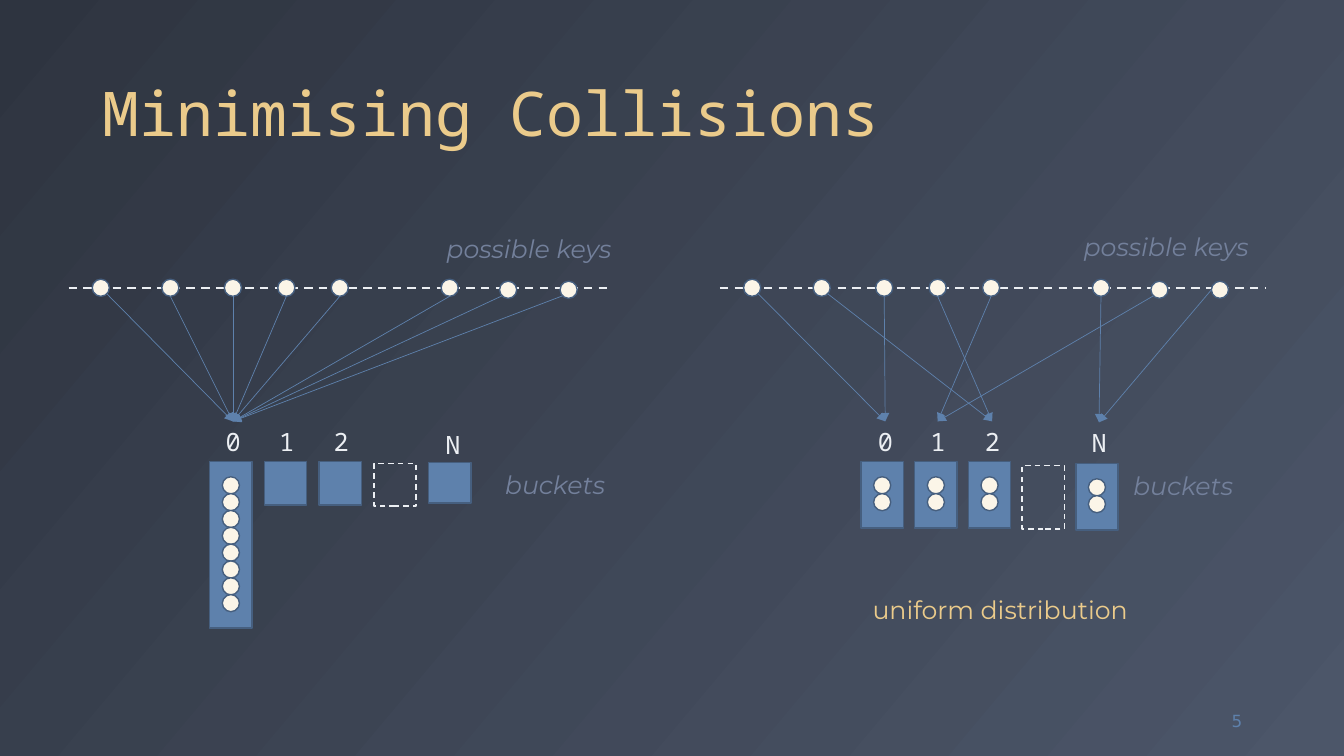
from dataclasses import dataclass

from pptx import Presentation
from pptx.dml.color import RGBColor
from pptx.enum.dml import MSO_LINE_DASH_STYLE as Dash
from pptx.enum.shapes import MSO_CONNECTOR as Conn, MSO_SHAPE as Shape
from pptx.enum.text import MSO_ANCHOR as Anchor, MSO_AUTO_SIZE as Fit, PP_ALIGN as Align
from pptx.oxml.ns import qn
from pptx.util import Inches, Pt

COLORS = {"dark": "2E3440", "slate": "4C5669", "gold": "EBCB8B", "blue": "5E81AC",
          "edge": "465F7F", "cream": "FBF5E8", "white": "ECEFF3", "muted": "73809B"}
MONO, BODY, NUMBER = "Noto Sans Mono", "Montserrat", "DejaVu Sans"

# The slide is a grid of 1333 columns by 750 rows
CELL = Inches(0.01)
COLS, ROWS = 1333, 750
DOT = 17
BUCKET = 42
KEYS = [32, 101, 163, 216, 269, 378, 436, 496]
KEY_DROPS = [0] * 6 + [2] * 2
# Where an arrow leaves its key: bottom, lower right, lower left, west
SITES = {"B": (0, DOT / 2), "R": (6, 6), "L": (-6, 6), "W": (-DOT / 2, 0)}


@dataclass
class Bucket:
    label: str
    label_x: int      # centre of the label and arrow tip
    height: int
    items: int = 0
    drop: int = 0
    label_drop: int = 0


@dataclass
class Panel:
    pitch: float
    buckets: list
    targets: list     # bucket that each key goes to
    sites: str
    keys_at: tuple
    buckets_at: tuple


CLUSTERED = Panel(
    54.25,
    [Bucket("0", 163, 165, 8), Bucket("1", 216, 43), Bucket("2", 270, 43),
     Bucket("", 0, 42, drop=2), Bucket("N", 381, 40, drop=1, label_drop=3)],
    [0] * 8, "RBBBBBLL", (365, 2), (423, 236))
UNIFORM = Panel(
    53.25,
    [Bucket("0", 164, 66, 2), Bucket("1", 216, 66, 2), Bucket("2", 270, 66, 2),
     Bucket("", 0, 63, drop=4), Bucket("N", 376, 66, 2, drop=2, label_drop=1)],
    [0, 2, 0, 2, 1, 4, 1, 4], "RRBBBBLW", (351, 0), (400, 237))


def grid(*cells):
    return [round(c * CELL) for c in cells]


def rgb(name):
    return RGBColor.from_string(COLORS[name])


def style(p, size, font, color, align=Align.LEFT, italic=False):
    p.alignment = align
    p.font.size, p.font.name = Pt(size), font
    p.font.color.rgb = rgb(color)
    p.font.italic = italic


def add_text(slide, text, box, size=18, font=BODY, color="muted", fit=Fit.SHAPE_TO_FIT_TEXT, **look):
    tf = slide.shapes.add_textbox(*grid(*box)).text_frame
    tf.word_wrap = fit == Fit.NONE
    tf.auto_size = fit
    p = tf.paragraphs[0]
    p.text = text
    style(p, size, font, color, **look)
    return tf


def add_box(slide, kind, box, fill, line="edge"):
    sp = slide.shapes.add_shape(kind, *grid(*box))
    sp.shadow.inherit = False
    sp.line.color.rgb = rgb(line)
    sp.line.width = Pt(1)
    if fill:
        sp.fill.solid()
        sp.fill.fore_color.rgb = rgb(fill)
    else:
        sp.fill.background()
        sp.line.dash_style = Dash.DASH
    return sp


def add_dot(slide, x, y):
    add_box(slide, Shape.OVAL, (x - DOT / 2, y - DOT / 2, DOT, DOT), "cream")


def add_line(slide, start, end, color, width):
    cn = slide.shapes.add_connector(Conn.STRAIGHT, *grid(*start, *end))
    cn.line.color.rgb = rgb(color)
    cn.line.width = Pt(width)
    sp_pr = cn._element.spPr
    sp_pr.append(sp_pr.makeelement(qn("a:effectLst"), {}))
    return cn


def add_arrow(slide, start, end):
    ln = add_line(slide, start, end, "blue", 0.5).line._get_or_add_ln()
    ln.append(ln.makeelement(qn("a:tailEnd"), {"type": "triangle"}))


def add_keys(slide, panel, left, top, width):
    """Dashed key line, its keys, and an arrow from each key to its bucket."""
    axis = top + 61
    add_line(slide, (left, axis), (left + width, axis), "white", 1.5).line.dash_style = Dash.DASH
    dx, dy = panel.keys_at
    add_text(slide, "possible keys", (left + dx, top + dy, 187, 40), italic=True)
    for key, drop, target, site in zip(KEYS, KEY_DROPS, panel.targets, panel.sites):
        x, y = left + key, axis - 0.5 + drop
        add_dot(slide, x, y)
        sx, sy = SITES[site]
        bucket = panel.buckets[target]
        add_arrow(slide, (x + sx, y + sy), (left + bucket.label_x, top + 193 + bucket.label_drop))


def add_buckets(slide, panel, left, top):
    """Row of labelled buckets with the items they hold."""
    for i, b in enumerate(panel.buckets):
        x, y = left + 140 + i * panel.pitch, top + 233 + b.drop
        box = (x, y, BUCKET, b.height)
        if not b.label:
            add_box(slide, Shape.RECTANGLE, box, None, "white")
            continue
        add_box(slide, Shape.RECTANGLE, box, "blue")
        add_text(slide, b.label, (left + b.label_x - DOT, top + 193 + b.label_drop, 34, 40),
                 font=MONO, color="white")
        for n in range(b.items):
            add_dot(slide, x + BUCKET / 2, y + 23.5 + n * 16.7)
    dx, dy = panel.buckets_at
    add_text(slide, "buckets", (left + dx, top + dy, 121, 40), italic=True)


def add_panel(slide, panel, left, top, width):
    add_keys(slide, panel, left, top, width)
    add_buckets(slide, panel, left, top)


def add_title(slide, text, box):
    title = slide.shapes.title
    title.left, title.top, title.width, title.height = grid(*box)
    tf = title.text_frame
    tf.text = text
    tf.auto_size = Fit.NONE
    tf.vertical_anchor = Anchor.BOTTOM
    p = tf.paragraphs[0]
    p.line_spacing = 0.9
    style(p, 44, MONO, "gold")


def add_background(slide):
    fill = slide.background.fill
    fill.gradient()
    fill.gradient_angle = 320
    for stop, color in zip(fill.gradient_stops, ("dark", "slate")):
        stop.color.rgb = rgb(color)


def main():
    prs = Presentation()
    prs.slide_width, prs.slide_height = grid(COLS, ROWS)
    slide = prs.slides.add_slide(prs.slide_layouts[5])
    add_background(slide)
    add_title(slide, "Minimising Collisions", (92, 18, 1150, 136))
    add_panel(slide, CLUSTERED, 68, 225, 540)
    add_panel(slide, UNIFORM, 714, 225, 541)
    add_text(slide, "uniform distribution", (854, 585, 276, 40), color="gold", align=Align.CENTER)
    # Slide number
    tf = add_text(slide, "5", (1159, 695, 83, 40), 12, NUMBER, "blue", Fit.NONE, align=Align.RIGHT)
    tf.vertical_anchor = Anchor.MIDDLE
    prs.save("out.pptx")


if __name__ == "__main__":
    main()
